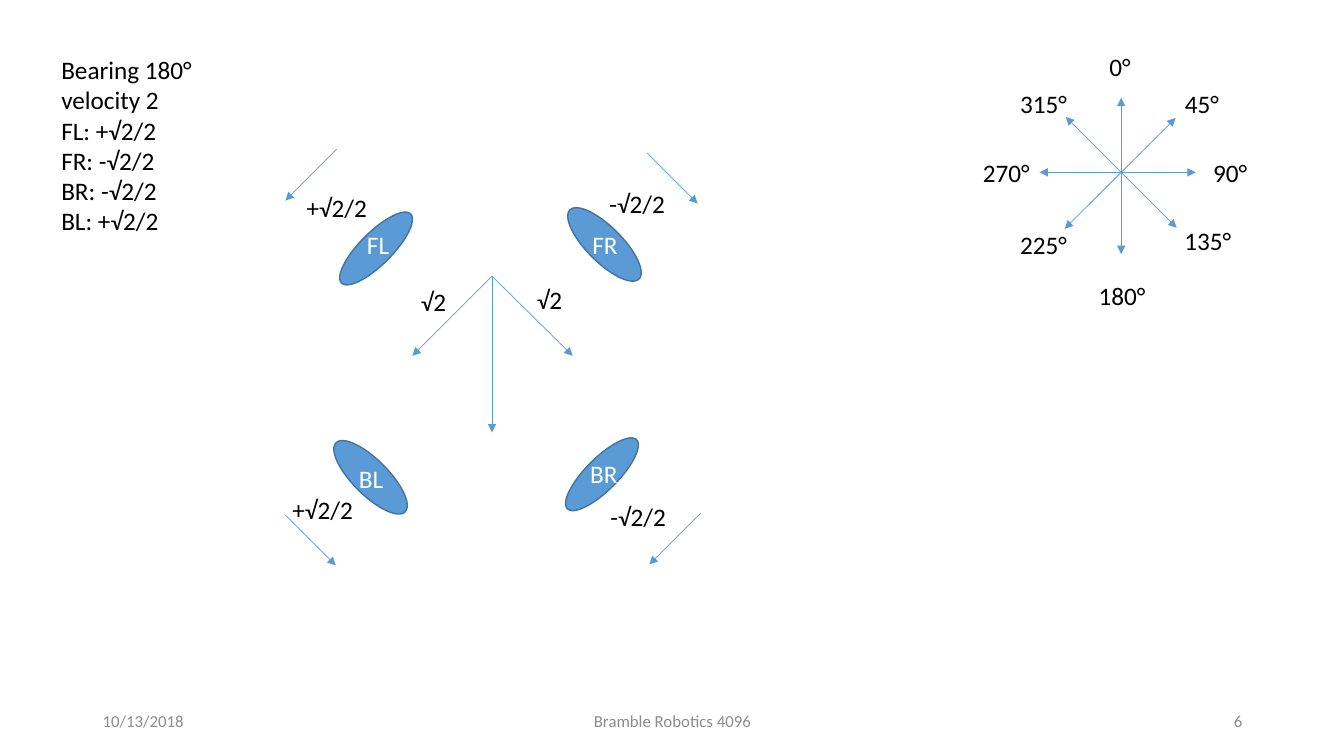
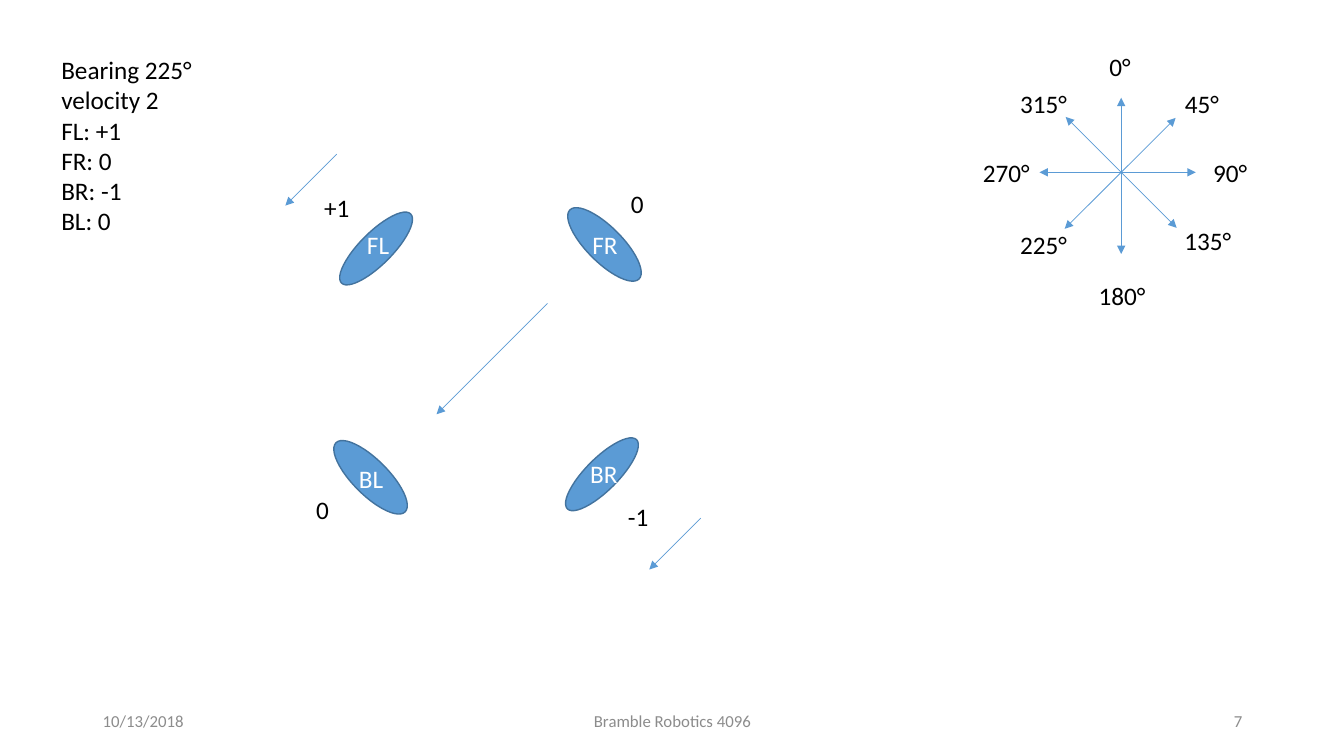
import pptx
import pptx.util
import pptx.dml.color
import pptx.enum.shapes
import pptx.enum.text
import pptx.oxml.ns
import lxml.etree

Inches = pptx.util.Inches
Pt = pptx.util.Pt
Align = pptx.enum.text.PP_ALIGN
Anchor = pptx.enum.text.MSO_ANCHOR
AutoSize = pptx.enum.text.MSO_AUTO_SIZE

FONT = "Calibri"
BLUE, OUTLINE, BLACK, WHITE, GRAY = "5B9BD5", "43739E", "000000", "FFFFFF", "8C8C8C"
LABEL_HEIGHT = 0.4
LABEL_WIDTH = 0.8
WHEEL_NAME_WIDTH = 0.56

MOTIONS = [
    {
        "number": 6,
        "bearing": 180,
        "speeds": {"FL": "+√2/2", "FR": "-√2/2", "BR": "-√2/2", "BL": "+√2/2"},
        "arrows": [
            (4.88, 2.74, 4.88, 4.29),
            (2.83, 5.11, 3.33, 5.61),
            (6.42, 1.52, 6.92, 2.02),
            (6.95, 5.09, 6.44, 5.6),
            (3.34, 1.48, 2.83, 1.99),
            (4.88, 2.74, 5.68, 3.53),
            (4.88, 2.74, 4.09, 3.53),
        ],
        "components": [("√2", 4.3, 2.79), ("√2", 5.45, 2.77)],
    },
    {
        "number": 7,
        "bearing": 225,
        "speeds": {"FL": "+1", "FR": "0", "BR": "-1", "BL": "0"},
        "arrows": [
            (5.43, 3.01, 4.33, 4.11),
            (6.95, 5.14, 6.44, 5.65),
            (3.34, 1.53, 2.83, 2.04),
        ],
        "components": [],
    },
]

COMPASS_AXES = [
    (11.12, 2.52, 11.12, 0.97),
    (11.86, 1.71, 10.31, 1.71),
    (10.56, 2.27, 11.66, 1.17),
    (10.57, 1.16, 11.67, 2.26),
]
COMPASS_LABELS = [
    ("0°", 11.11, 0.46),
    ("45°", 11.92, 0.83),
    ("90°", 12.2, 1.51),
    ("135°", 11.98, 2.19),
    ("180°", 11.13, 2.73),
    ("225°", 10.35, 2.23),
    ("270°", 9.98, 1.51),
    ("315°", 10.35, 0.83),
]

WHEELS = {
    "BL": {"oval": (3.19, 4.56, 0.97, 0.35), "name": (3.4, 4.55), "speed": (3.2, 4.86)},
    "FR": {"oval": (5.51, 2.25, 0.97, 0.35), "name": (5.72, 2.23), "speed": (6.32, 1.82)},
    "FL": {"oval": (3.57, 1.98, 0.32, 0.97), "name": (3.47, 2.23), "speed": (3.34, 1.86)},
    "BR": {"oval": (5.81, 4.22, 0.32, 0.97), "name": (5.71, 4.5), "speed": (6.33, 4.92)},
}

FOOTERS = [
    ("10/13/2018", 0.92, 3, Align.LEFT),
    ("Bramble Robotics 4096", 4.42, 4.5, Align.CENTER),
    ("{number}", 9.42, 3, Align.RIGHT),
]
FOOTER_TOP = 6.95


def color(value):
    return pptx.dml.color.RGBColor.from_string(value)


def add_text(shapes, text, left, top, width, height=LABEL_HEIGHT, size=18, ink=BLACK,
             align=Align.LEFT, anchor=Anchor.TOP, wrap=True, grow=True):
    box = shapes.add_textbox(Inches(left), Inches(top), Inches(width), Inches(height))
    frame = box.text_frame
    frame.word_wrap = wrap
    frame.auto_size = AutoSize.SHAPE_TO_FIT_TEXT if grow else AutoSize.NONE
    frame.vertical_anchor = anchor
    frame.text = text
    for paragraph in frame.paragraphs:
        paragraph.alignment = align
        for run in paragraph.runs:
            run.font.name = FONT
            run.font.size = Pt(size)
            run.font.color.rgb = color(ink)


def add_label(shapes, text, center, top):
    add_text(shapes, text, center - LABEL_WIDTH / 2, top, LABEL_WIDTH,
             align=Align.CENTER, wrap=False)


def add_arrow(shapes, ends, both_ends=False):
    arrow = shapes.add_connector(pptx.enum.shapes.MSO_CONNECTOR.STRAIGHT,
                                 *[Inches(end) for end in ends])
    arrow.line.color.rgb = color(BLUE)
    arrow.line.width = Pt(0.5)
    line = arrow.line._get_or_add_ln()
    for tag in ["a:headEnd", "a:tailEnd"] if both_ends else ["a:tailEnd"]:
        lxml.etree.SubElement(line, pptx.oxml.ns.qn(tag), type="triangle")
    lxml.etree.SubElement(arrow._element.spPr, pptx.oxml.ns.qn("a:effectLst"))


def add_compass(shapes):
    for axis in COMPASS_AXES:
        add_arrow(shapes, axis, both_ends=True)
    for label in COMPASS_LABELS:
        add_label(shapes, *label)


def add_wheels(shapes):
    for wheel in WHEELS.values():
        oval = shapes.add_shape(pptx.enum.shapes.MSO_SHAPE.OVAL,
                                *[Inches(length) for length in wheel["oval"]])
        oval.rotation = 45
        oval.shadow.inherit = False
        oval.fill.solid()
        oval.fill.fore_color.rgb = color(BLUE)
        oval.line.color.rgb = color(OUTLINE)
        oval.line.width = Pt(1)
    for name, wheel in WHEELS.items():
        add_text(shapes, name, *wheel["name"], WHEEL_NAME_WIDTH,
                 ink=WHITE, align=Align.CENTER)


def add_footers(shapes, number):
    for text, left, width, align in FOOTERS:
        add_text(shapes, text.format(number=number), left, FOOTER_TOP, width, size=12,
                 ink=GRAY, align=align, anchor=Anchor.MIDDLE, grow=False)


def add_motion(deck, motion):
    shapes = deck.slides.add_slide(deck.slide_layouts[6]).shapes
    summary = [f"Bearing {motion['bearing']}°", "velocity 2"]
    summary += [f"{wheel}: {speed}" for wheel, speed in motion["speeds"].items()]
    add_text(shapes, "\n".join(summary), 0.51, 0.49, 2.46, 1.92)
    add_compass(shapes)
    for wheel, speed in motion["speeds"].items():
        add_label(shapes, speed, *WHEELS[wheel]["speed"])
    arrows = shapes.add_group_shape().shapes
    for ends in motion["arrows"]:
        add_arrow(arrows, ends)
    for component in motion["components"]:
        add_label(shapes, *component)
    add_wheels(shapes.add_group_shape().shapes)
    add_footers(shapes, motion["number"])


deck = pptx.Presentation()
deck.slide_width = Inches(13.33)
deck.slide_height = Inches(7.5)
for motion in MOTIONS:
    add_motion(deck, motion)
deck.save("out.pptx")
